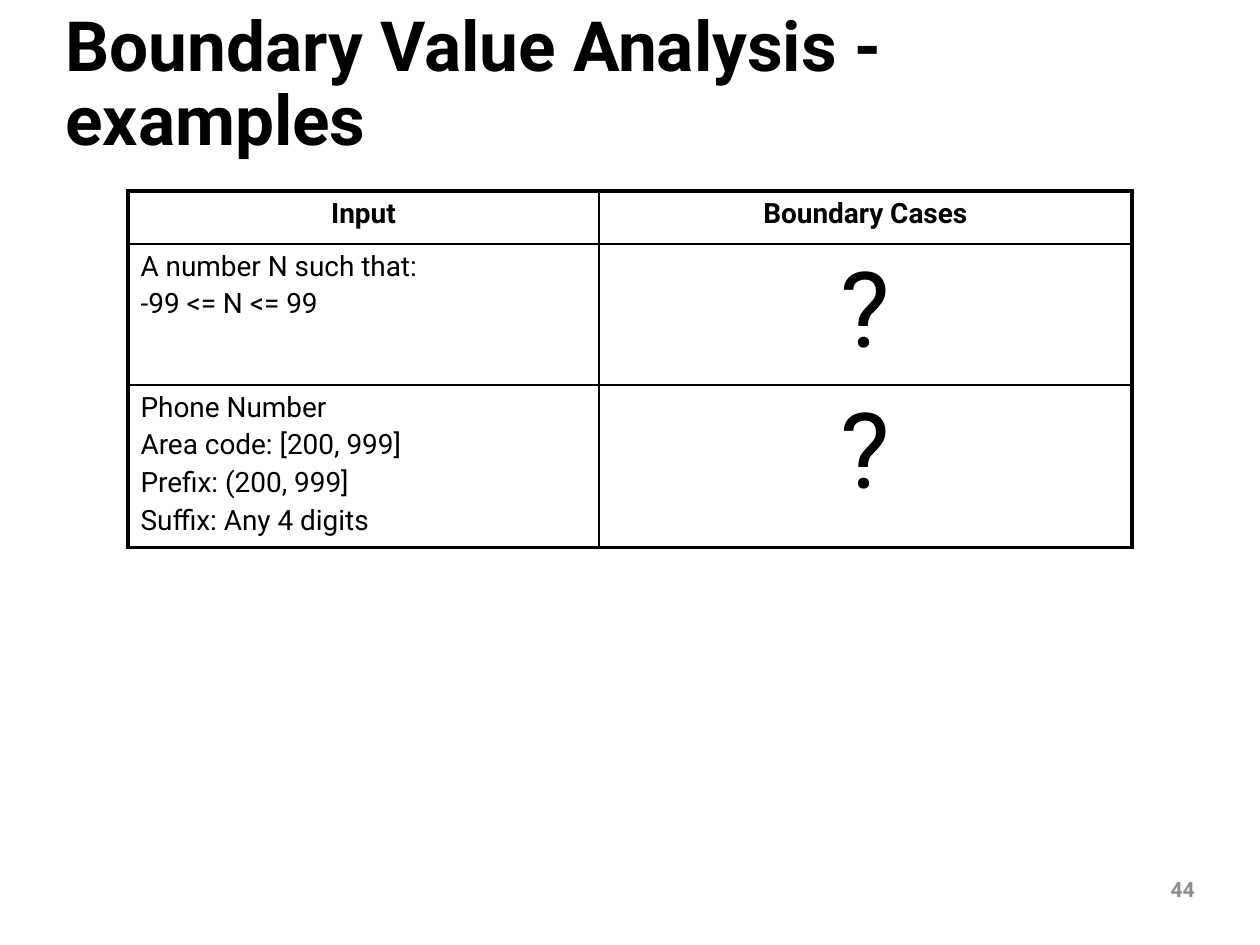
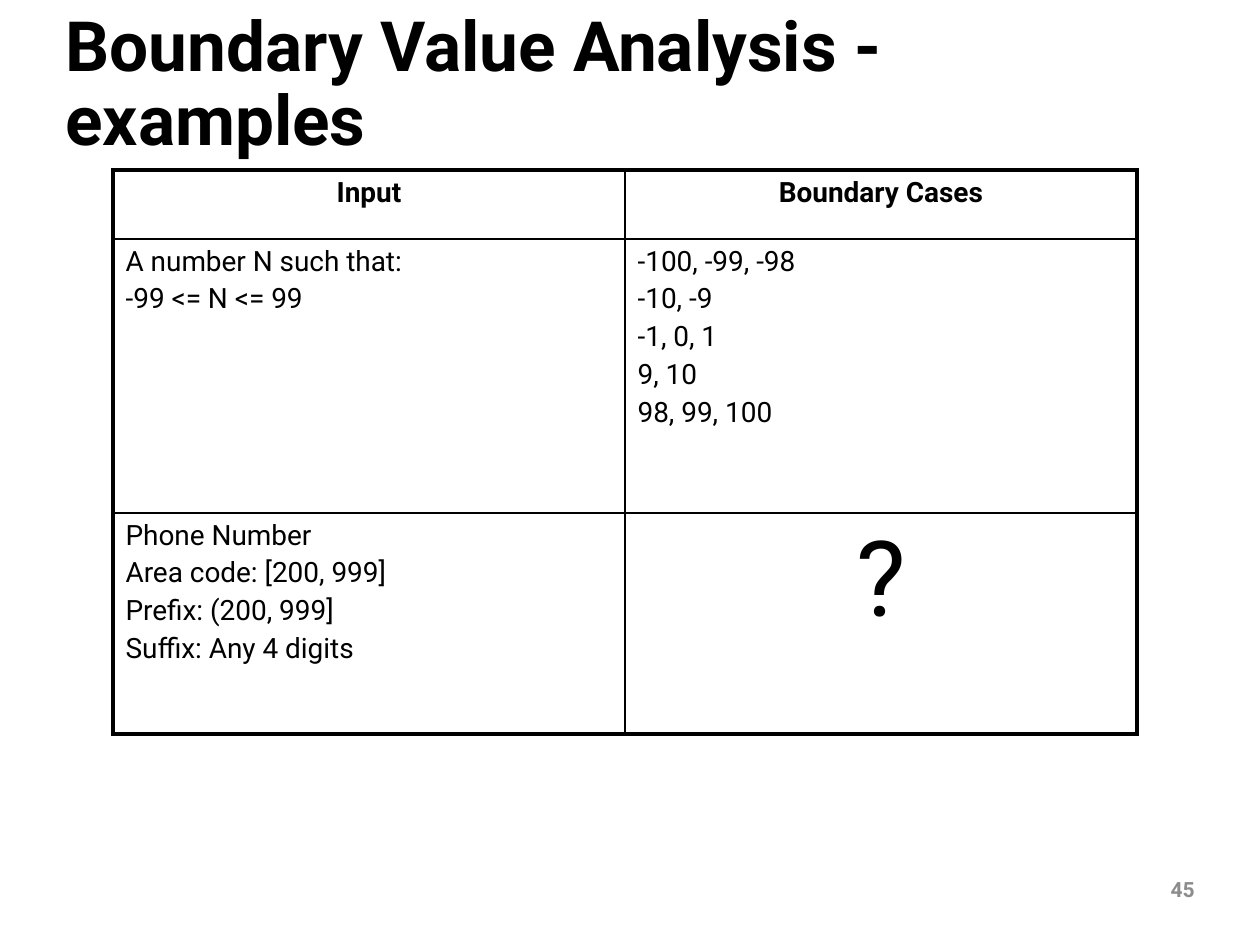
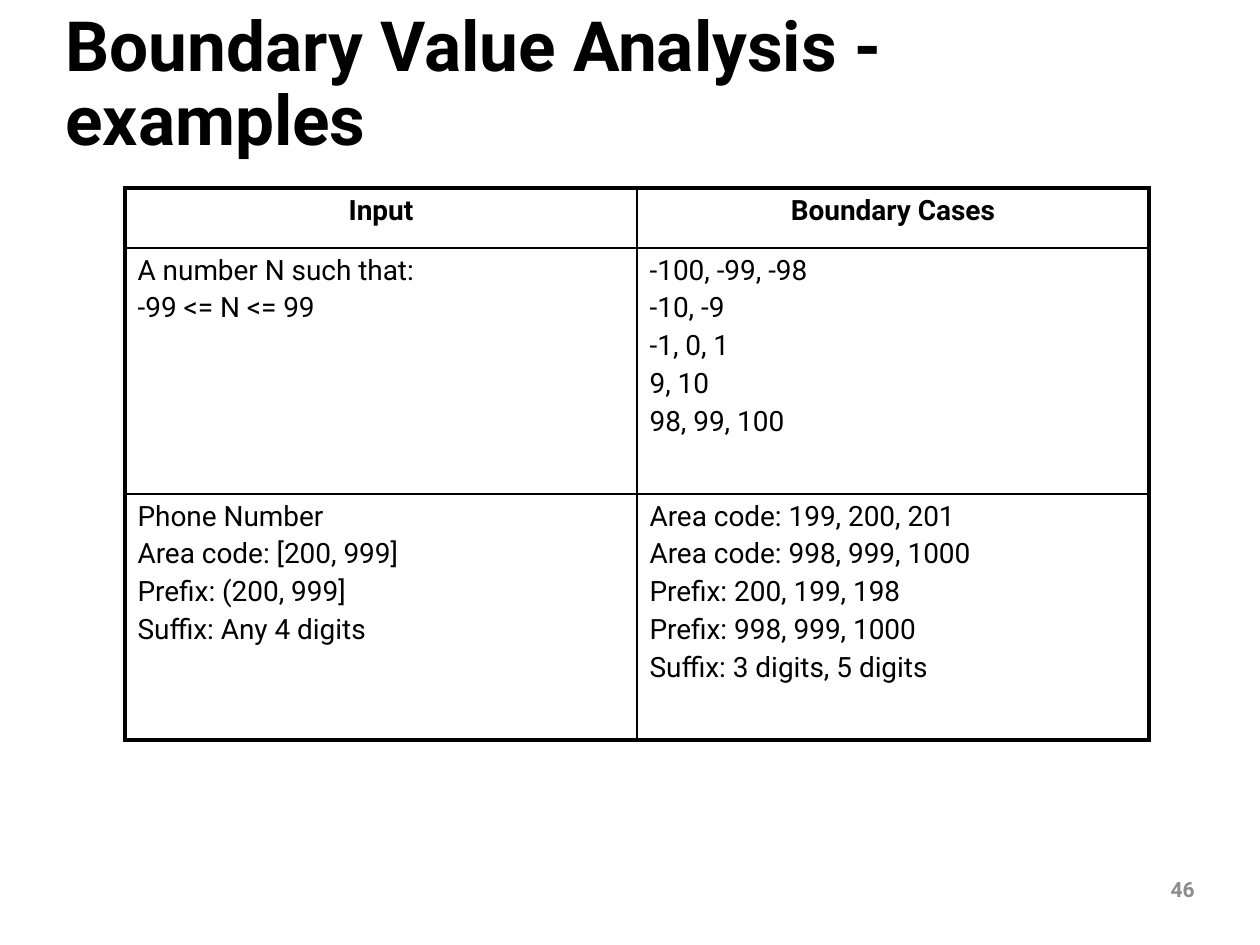
from pptx import Presentation
from pptx.dml.color import RGBColor
from pptx.enum.text import MSO_ANCHOR, PP_ALIGN
from pptx.oxml.ns import qn
from pptx.util import Emu, Pt
from lxml.etree import SubElement

PX_PER_INCH = 126
SLIDE_SIZE = (1260, 945)
FONT = "Roboto"
BLACK, GRAY = "000000", "8C8C8C"
TITLE_BOX = (53, 37, 1153, 98)
NUMBER_BOX = (1072, 864, 135, 50)
OUTER_LINE, INNER_LINE = 2.25, 1

TITLE = "Boundary Value Analysis - examples"
HEADINGS = ("Input", "Boundary Cases")
UNKNOWN = "?"
RANGE_INPUT = "A number N such that:\n-99 <= N <= 99"
PHONE_INPUT = "Phone Number\nArea code: [200, 999]\nPrefix: (200, 999]\nSuffix: Any 4 digits"
RANGE_CASES = "-100, -99, -98\n-10, -9\n-1, 0, 1\n9, 10\n98, 99, 100"
PHONE_CASES = (
    "Area code: 199, 200, 201\nArea code: 998, 999, 1000\n"
    "Prefix: 200, 199, 198\nPrefix: 998, 999, 1000\nSuffix: 3 digits, 5 digits"
)

EXAMPLES = [
    (44, (128, 191), (471, 533), (53, 141, 141), UNKNOWN, UNKNOWN),
    (45, (113, 170), (512, 512), (69, 274, 221), RANGE_CASES, UNKNOWN),
    (46, (125, 188), (512, 512), (60, 246, 246), RANGE_CASES, PHONE_CASES),
]


def px(length):
    """Turn pixels into EMU."""
    return Emu(round(length * 914400 / PX_PER_INCH))


def color(value):
    """Turn a hex string into a colour."""
    return RGBColor.from_string(value)


def write(frame, text, size, bold=False, ink=BLACK, align=PP_ALIGN.LEFT, before=0, spacing=1.0):
    """Fill a text frame and format all of its paragraphs."""
    frame.text = text
    frame.word_wrap = True
    for paragraph in frame.paragraphs:
        paragraph.alignment = align
        paragraph.space_before = Pt(before)
        paragraph.line_spacing = spacing
        for run in paragraph.runs:
            run.font.name = FONT
            run.font.size = Pt(size)
            run.font.bold = bold
            run.font.color.rgb = color(ink)


def add_label(slide, box, text, size, **style):
    """Place a bold, vertically centred label in a box."""
    label = slide.shapes.add_textbox(*map(px, box))
    label.text_frame.vertical_anchor = MSO_ANCHOR.MIDDLE
    write(label.text_frame, text, size, bold=True, **style)


def add_borders(cell, outer_sides):
    """Draw the four borders of a cell, heavier on the table's outside."""
    properties = cell._tc.get_or_add_tcPr()
    for side in "LRTB":
        width = OUTER_LINE if side in outer_sides else INNER_LINE
        line = SubElement(properties, qn(f"a:ln{side}"), w=str(Pt(width)))
        fill = SubElement(line, qn("a:solidFill"))
        SubElement(fill, qn("a:srgbClr"), val=BLACK)


def add_cases(slide, corner, widths, heights, rows):
    """Place the table of inputs and their boundary cases."""
    size = (sum(widths), sum(heights))
    cases = slide.shapes.add_table(len(rows), len(widths), *map(px, corner + size)).table
    cases.first_row = cases.horz_banding = False
    for column, width in zip(cases.columns, widths):
        column.width = px(width)
    for row, height in zip(cases.rows, heights):
        row.height = px(height)
    for r, texts in enumerate(rows):
        row_sides = {0: "T", len(rows) - 1: "B"}.get(r, "")
        for c, text in enumerate(texts):
            cell = cases.cell(r, c)
            add_borders(cell, row_sides + "LR"[c])
            cell.fill.background()
            if text == UNKNOWN:
                write(cell.text_frame, text, 60, align=PP_ALIGN.CENTER)
            elif r == 0:
                write(cell.text_frame, text, 16, bold=True, align=PP_ALIGN.CENTER, before=3)
            else:
                write(cell.text_frame, text, 16, before=3)


def add_example_slide(deck, number, corner, widths, heights, range_cases, phone_cases):
    """Add a slide with its title, page number and table of cases."""
    slide = deck.slides.add_slide(deck.slide_layouts[6])
    add_label(slide, TITLE_BOX, TITLE, 39.6, spacing=0.9)
    add_label(slide, NUMBER_BOX, str(number), 12, ink=GRAY, align=PP_ALIGN.RIGHT)
    rows = (HEADINGS, (RANGE_INPUT, range_cases), (PHONE_INPUT, phone_cases))
    add_cases(slide, corner, widths, heights, rows)


def main():
    """Build and save the deck."""
    deck = Presentation()
    deck.slide_width, deck.slide_height = map(px, SLIDE_SIZE)
    for example in EXAMPLES:
        add_example_slide(deck, *example)
    deck.save("out.pptx")


if __name__ == "__main__":
    main()
